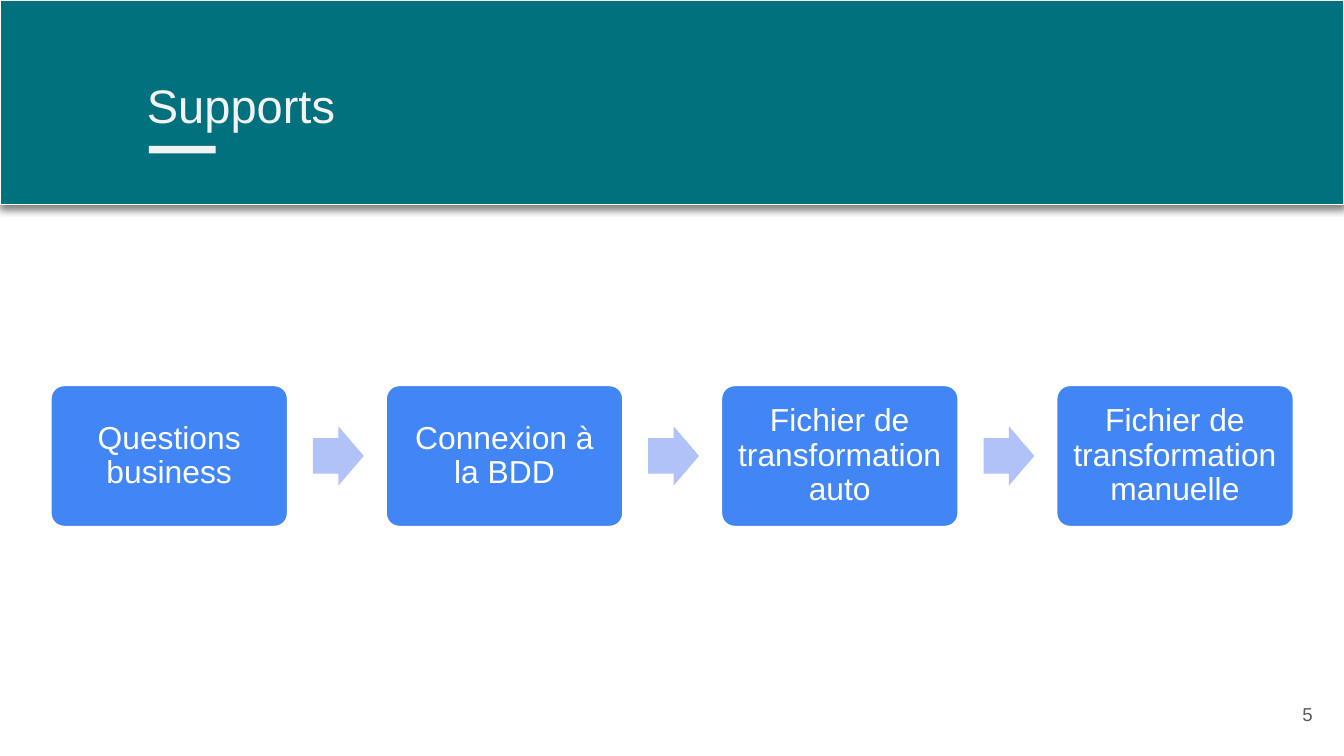
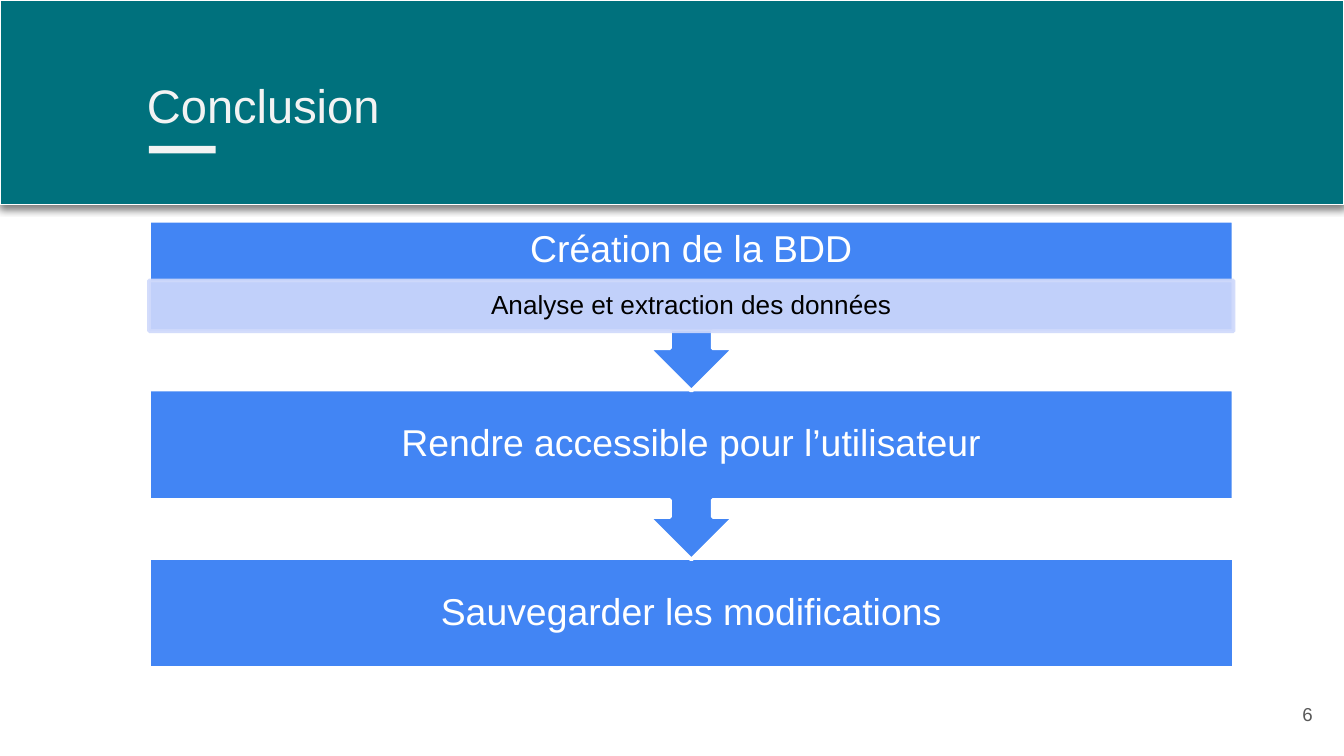
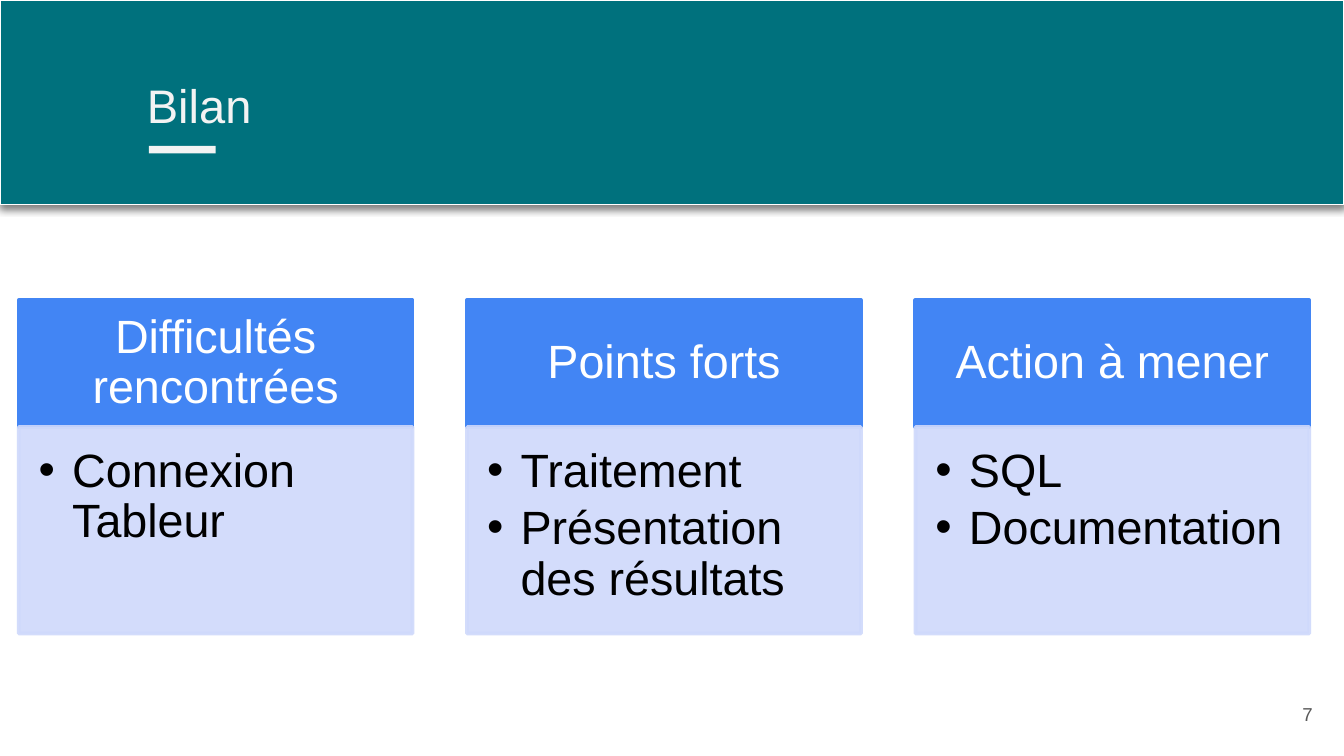
from dataclasses import dataclass
from typing import NamedTuple

import lxml.etree
import pptx
import pptx.dml.color
import pptx.enum.shapes
import pptx.enum.text
import pptx.oxml.ns
import pptx.presentation
import pptx.shapes.autoshape
import pptx.shapes.base
import pptx.slide
import pptx.text.text
import pptx.util

Pt = pptx.util.Pt
RGBColor = pptx.dml.color.RGBColor
MSO_SHAPE = pptx.enum.shapes.MSO_SHAPE
ALIGN = pptx.enum.text.PP_ALIGN
ANCHOR = pptx.enum.text.MSO_ANCHOR
qn = pptx.oxml.ns.qn

# Colours and font
TEAL = RGBColor(0x00, 0x71, 0x7D)
OFF_WHITE = RGBColor(0xF3, 0xF3, 0xF3)
WHITE = RGBColor(0xFF, 0xFF, 0xFF)
BLACK = RGBColor(0x00, 0x00, 0x00)
GREY = RGBColor(0x59, 0x59, 0x59)
BLUE = RGBColor(0x42, 0x85, 0xF4)
ARROW_BLUE = RGBColor(0xB0, 0xC2, 0xF8)
PALE_BLUE = RGBColor(0xCF, 0xD9, 0xFB)
FONT = "Arial"

# Layouts of the default template and first page number
TITLE_ONLY, COMPARISON = 5, 4
FIRST_PAGE = 5


class Box(NamedTuple):
    left: float
    top: float
    width: float
    height: float


class Insets(NamedTuple):
    left: float = 7.2
    top: float = 7.2
    right: float = 7.2
    bottom: float = 7.2


@dataclass(frozen=True)
class TextStyle:
    size: float
    color: RGBColor
    align: ALIGN = ALIGN.CENTER
    anchor: ANCHOR = ANCHOR.MIDDLE
    insets: Insets = Insets()
    line_spacing: float = 0.9
    space_after: float = 0
    bullet: bool = False


@dataclass(frozen=True)
class Paint:
    fill: RGBColor
    line: RGBColor | None = None
    line_width: float = 2
    opacity: int = 100


class Column(NamedTuple):
    heading: str
    points: list[str]


TITLE_STYLE = TextStyle(25.2, OFF_WHITE, ALIGN.LEFT, ANCHOR.BOTTOM, line_spacing=1)
PAGE_STYLE = TextStyle(10, GREY, ALIGN.RIGHT, line_spacing=1)
STEP_STYLE = TextStyle(17, WHITE, insets=Insets(7, 7, 7, 7))
STAGE_STYLE = TextStyle(20, WHITE, insets=Insets(11.5, 0, 11.5, 0))
DETAIL_STYLE = TextStyle(14, BLACK, insets=Insets(8, 1.5, 8, 1.5))
HEADING_STYLE = TextStyle(25, WHITE, insets=Insets(13.5, 8, 13.5, 8))
POINTS_STYLE = TextStyle(25, BLACK, ALIGN.LEFT, ANCHOR.TOP, Insets(10.7, 10.7, 13, 16),
                         space_after=3.75, bullet=True)

BLOCK = Paint(BLUE, WHITE)
HEADING = Paint(BLUE, BLUE)
PALE = Paint(PALE_BLUE, PALE_BLUE, opacity=90)


# Drawing helpers
def place(shape: pptx.shapes.base.BaseShape, box: Box) -> None:
    shape.left, shape.top, shape.width, shape.height = (Pt(v) for v in box)


def bring_to_front(slide: pptx.slide.Slide, shape: pptx.shapes.base.BaseShape) -> None:
    slide.shapes.element.append(shape.element)


def paint(shape: pptx.shapes.autoshape.Shape, look: Paint) -> None:
    shape.fill.solid()
    shape.fill.fore_color.rgb = look.fill
    if look.line is None:
        shape.line.fill.background()
    else:
        shape.line.color.rgb = look.line
        shape.line.width = Pt(look.line_width)
    if look.opacity < 100:
        for color in shape.element.spPr.iter(qn("a:srgbClr")):
            lxml.etree.SubElement(color, qn("a:alpha"), val=str(look.opacity * 1000))


def add_bullet(paragraph: pptx.text.text._Paragraph, color: RGBColor) -> None:
    properties = paragraph._p.get_or_add_pPr()
    properties.set("marL", str(Pt(18)))
    properties.set("indent", str(-Pt(18)))
    bullet_color = lxml.etree.SubElement(properties, qn("a:buClr"))
    lxml.etree.SubElement(bullet_color, qn("a:srgbClr"), val=str(color))
    lxml.etree.SubElement(properties, qn("a:buFont"), typeface=FONT)
    lxml.etree.SubElement(properties, qn("a:buChar"), char="•")


def write(shape: pptx.shapes.autoshape.Shape, lines: list[str], style: TextStyle) -> None:
    frame = shape.text_frame
    frame.auto_size = pptx.enum.text.MSO_AUTO_SIZE.NONE
    frame.word_wrap = True
    frame.vertical_anchor = style.anchor
    (frame.margin_left, frame.margin_top,
     frame.margin_right, frame.margin_bottom) = (Pt(v) for v in style.insets)
    for index, line in enumerate(lines):
        paragraph = frame.add_paragraph() if index else frame.paragraphs[0]
        if style.bullet:
            add_bullet(paragraph, style.color)
        paragraph.alignment = style.align
        paragraph.line_spacing = style.line_spacing
        paragraph.space_before = Pt(0)
        paragraph.space_after = Pt(style.space_after)
        run = paragraph.add_run()
        run.text = line
        run.font.name = FONT
        run.font.size = Pt(style.size)
        run.font.bold = False
        run.font.color.rgb = style.color


def add_block(slide: pptx.slide.Slide, kind: MSO_SHAPE, box: Box, look: Paint,
              text: str = "", style: TextStyle = STEP_STYLE) -> pptx.shapes.autoshape.Shape:
    block = slide.shapes.add_shape(kind, *(Pt(v) for v in box))
    block.shadow.inherit = False
    paint(block, look)
    if text:
        write(block, [text], style)
    return block


def add_band_shadow(band: pptx.shapes.autoshape.Shape) -> None:
    effects = band.element.spPr.find(qn("a:effectLst"))
    shadow = lxml.etree.SubElement(effects, qn("a:outerShdw"), blurRad=str(Pt(4.5)),
                                   dist=str(Pt(1.5)), dir="5400000", algn="t", rotWithShape="0")
    color = lxml.etree.SubElement(shadow, qn("a:srgbClr"), val=str(BLACK))
    lxml.etree.SubElement(color, qn("a:alpha"), val="49000")


# Band, title and page number of every slide
def start_slide(deck: pptx.presentation.Presentation, title: str,
                layout: int = TITLE_ONLY) -> pptx.slide.Slide:
    slide = deck.slides.add_slide(deck.slide_layouts[layout])
    band = add_block(slide, MSO_SHAPE.RECTANGLE, Box(0, 0, 720, 109.5), Paint(TEAL, WHITE, 0.75))
    add_band_shadow(band)
    add_block(slide, MSO_SHAPE.RECTANGLE, Box(79.7, 78.2, 35.8, 4), Paint(OFF_WHITE))

    heading = slide.shapes.title
    place(heading, Box(71.5, 33.1, 671, 45.4))
    write(heading, [title], TITLE_STYLE)
    bring_to_front(slide, heading)

    page = slide.shapes.add_textbox(*(Pt(v) for v in Box(667.1, 367.2, 43.2, 31)))
    write(page, [str(FIRST_PAGE + len(deck.slides) - 1)], PAGE_STYLE)
    return slide


# Row of steps joined by arrows
def build_supports(deck: pptx.presentation.Presentation) -> None:
    slide = start_slide(deck, "Supports")
    steps = ["Questions business", "Connexion à la BDD",
             "Fichier de transformation auto", "Fichier de transformation manuelle"]
    first_left, pitch = 26.7, 179.6
    for index, step in enumerate(steps):
        left = first_left + index * pitch
        if index:
            arrow = add_block(slide, MSO_SHAPE.RIGHT_ARROW,
                              Box(left - 38.6, 228.4, 27.2, 31.8), Paint(ARROW_BLUE))
            arrow.adjustments[0] = 0.6
        card = add_block(slide, MSO_SHAPE.ROUNDED_RECTANGLE, Box(left, 205.9, 128, 76.8),
                         BLOCK, step, STEP_STYLE)
        card.adjustments[0] = 0.1


# Stages from top to bottom, the lowest drawn first
def build_conclusion(deck: pptx.presentation.Presentation) -> None:
    slide = start_slide(deck, "Conclusion")
    left, width, first_top, pitch = 79.9, 581, 118.2, 90.4
    detail_top, detail_height = 150.3, 27.2
    stages = ["Création de la BDD", "Rendre accessible pour l’utilisateur",
              "Sauvegarder les modifications"]
    last = len(stages) - 1
    for index, stage in reversed(list(enumerate(stages))):
        kind, height = ((MSO_SHAPE.RECTANGLE, 59) if index == last
                        else (MSO_SHAPE.DOWN_ARROW_CALLOUT, 91.2))
        block = add_block(slide, kind, Box(left, first_top + index * pitch, width, height),
                          BLOCK, stage, STAGE_STYLE)
    # The first stage keeps its text above the detail strip
    block.text_frame.margin_bottom = Pt(detail_height)
    add_block(slide, MSO_SHAPE.RECTANGLE, Box(left, detail_top, width, detail_height),
              PALE, "Analyse et extraction des données", DETAIL_STYLE)


# Three headed lists
def build_review(deck: pptx.presentation.Presentation) -> None:
    slide = start_slide(deck, "Bilan", COMPARISON)
    columns = [
        Column("Difficultés rencontrées", ["Connexion Tableur"]),
        Column("Points forts", ["Traitement", "Présentation des résultats"]),
        Column("Action à mener", ["SQL", "Documentation"]),
    ]
    *lists, spare = [p for p in slide.placeholders if p.placeholder_format.idx > 0]
    spare.element.getparent().remove(spare.element)
    first_left, pitch, width = 10, 240.2, 211
    for index, (column, points) in enumerate(zip(columns, lists)):
        left = first_left + index * pitch
        add_block(slide, MSO_SHAPE.RECTANGLE, Box(left, 160.8, width, 67.8),
                  HEADING, column.heading, HEADING_STYLE)
        place(points, Box(left, 228.8, width, 110.6))
        paint(points, PALE)
        write(points, column.points, POINTS_STYLE)
        bring_to_front(slide, points)


def main() -> None:
    deck = pptx.Presentation()
    deck.slide_width, deck.slide_height = Pt(720), Pt(405)
    build_supports(deck)
    build_conclusion(deck)
    build_review(deck)
    deck.save("out.pptx")


if __name__ == "__main__":
    main()
